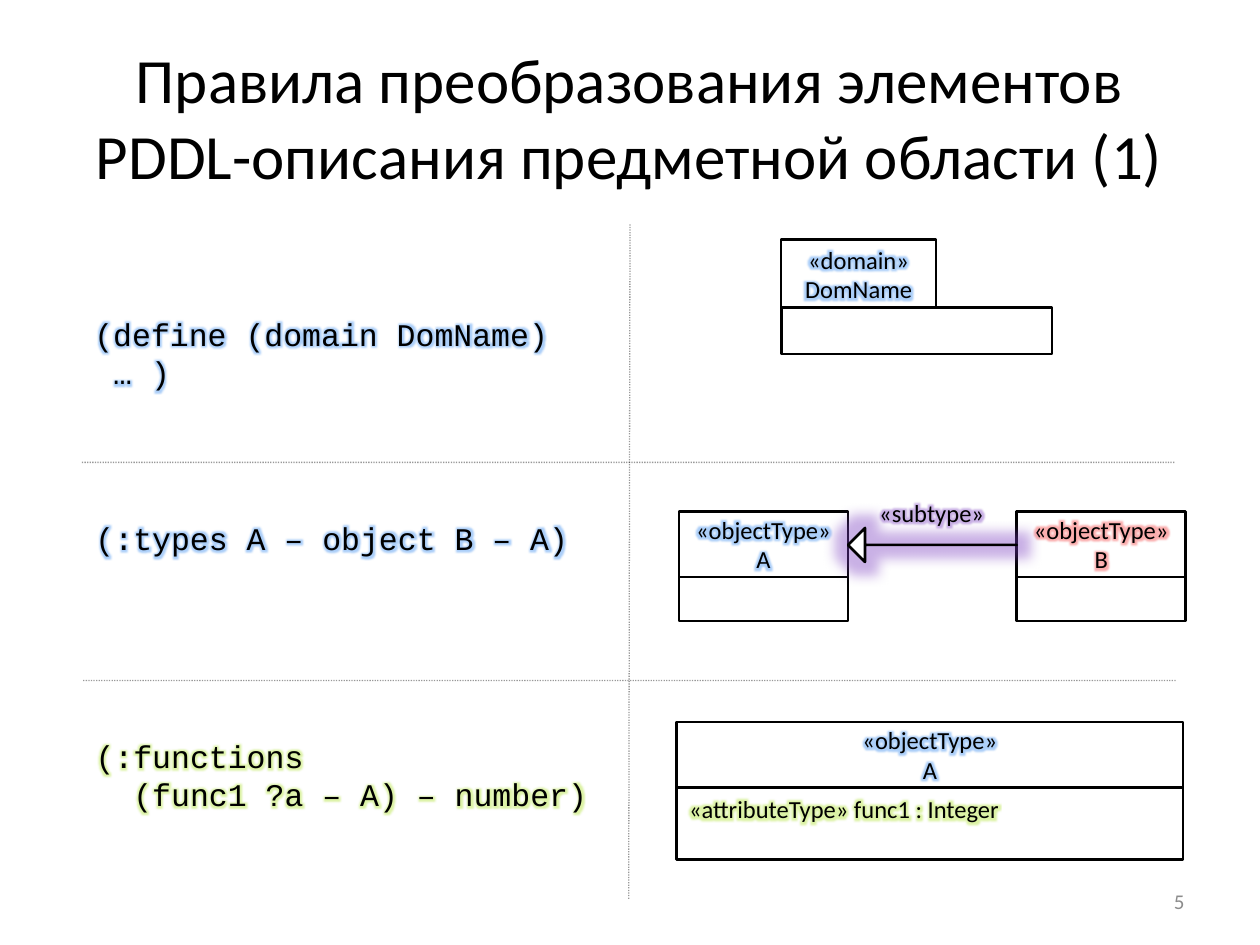
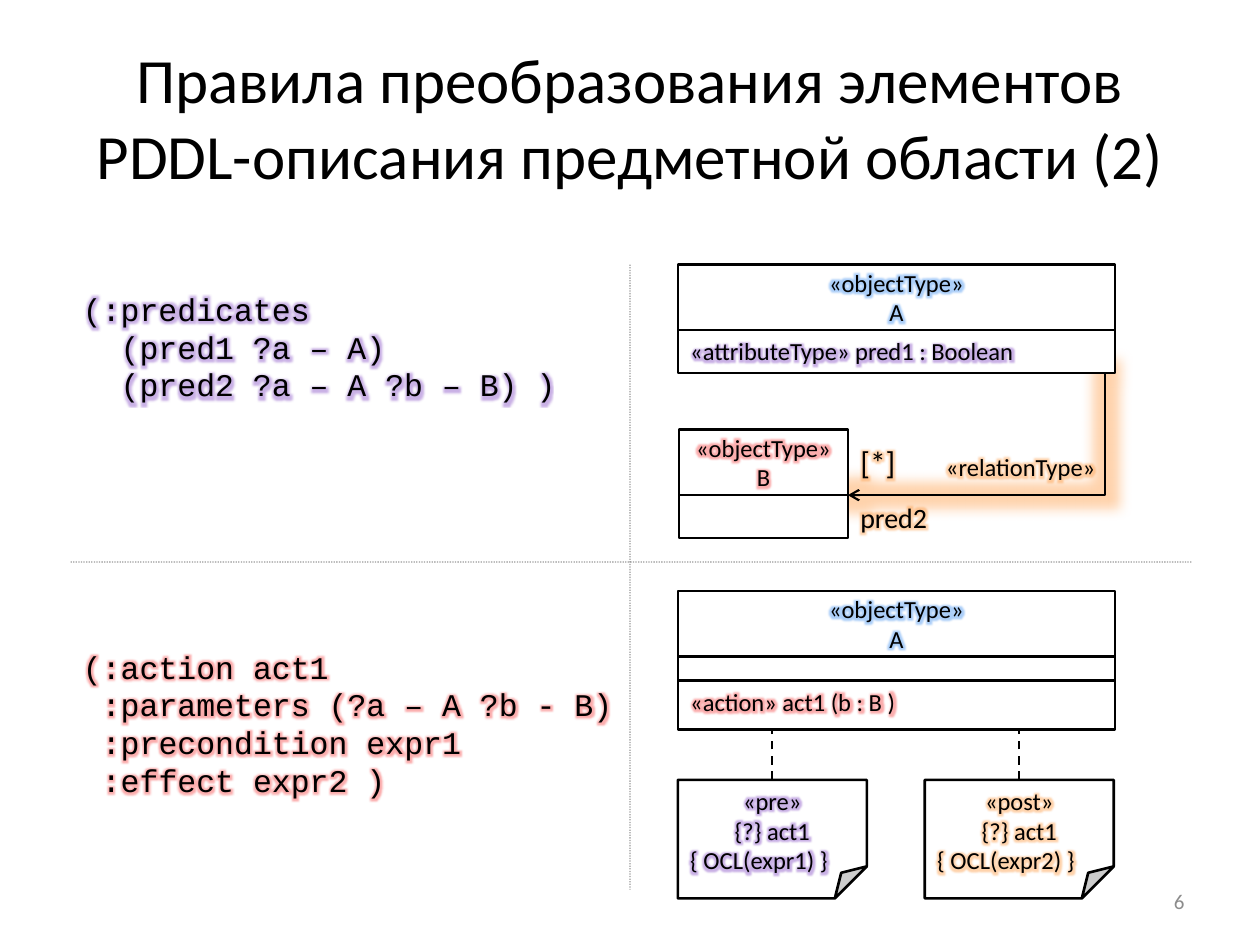
from dataclasses import dataclass

from lxml import etree
from pptx import Presentation
from pptx.dml.color import RGBColor
from pptx.enum.dml import MSO_LINE
from pptx.enum.shapes import MSO_CONNECTOR, MSO_SHAPE
from pptx.enum.text import MSO_ANCHOR, PP_ALIGN
from pptx.oxml.ns import qn
from pptx.util import Inches, Pt

LEFT, CENTER, RIGHT = PP_ALIGN.LEFT, PP_ALIGN.CENTER, PP_ALIGN.RIGHT
TOP, MIDDLE = MSO_ANCHOR.TOP, MSO_ANCHOR.MIDDLE
STRAIGHT, ELBOW = MSO_CONNECTOR.STRAIGHT, MSO_CONNECTOR.ELBOW
RECT, NOTE, ARROW = MSO_SHAPE.RECTANGLE, MSO_SHAPE.FOLDED_CORNER, MSO_SHAPE.RIGHT_ARROW
DOTTED, DASHED = MSO_LINE.ROUND_DOT, MSO_LINE.DASH


@dataclass(frozen=True)
class Theme:
    ink: RGBColor = RGBColor(0, 0, 0)
    paper: RGBColor = RGBColor(255, 255, 255)
    muted: RGBColor = RGBColor(0x8C, 0x8C, 0x8C)
    blue: str = "2E86F0"
    red: str = "F53232"
    green: str = "A8E01E"
    purple: str = "7A3CC0"
    orange: str = "FF9130"
    sans: str = "Calibri"
    mono: str = "Courier New"
    title: int = 36
    code: int = 18
    role: int = 16
    label: int = 14
    number: int = 12
    border: float = 1.5
    link: float = 1.25
    divider: float = 0.75
    text_glow: int = 8
    link_glow: int = 14


theme = Theme()

deck = Presentation()
deck.slide_width, deck.slide_height = Inches(10), Inches(7.5)
blank = deck.slide_layouts[6]

# Grid of 100 columns by 75 rows
COL = deck.slide_width / 100
ROW = deck.slide_height / 75


def set_effect(properties, glow=None, radius=theme.text_glow):
    """Replace inherited effects with a glow, or with nothing."""
    effects = etree.SubElement(properties, qn("a:effectLst"))
    if glow:
        halo = etree.SubElement(effects, qn("a:glow"), rad=str(Pt(radius)))
        color = etree.SubElement(halo, qn("a:srgbClr"), val=glow)
        etree.SubElement(color, qn("a:alpha"), val="40000")


def write(box, lines, size, font=theme.sans, color=theme.ink, aligns=(LEFT,),
          anchor=TOP, glow=None, wrap=True):
    """Fill a box with paragraphs; the last alignment serves the remaining lines."""
    frame = box.text_frame
    frame.word_wrap = wrap
    frame.vertical_anchor = anchor
    for index, line in enumerate(lines):
        para = frame.add_paragraph() if index else frame.paragraphs[0]
        para.alignment = aligns[min(index, len(aligns) - 1)]
        para.font.size, para.font.name = Pt(size), font
        para.font.color.rgb = color
        span = para.add_run()
        span.text = line
        if glow:
            set_effect(span._r.get_or_add_rPr(), glow)


# Pages with titles and numbers
pages = []
for part, (title_left, title_width) in enumerate([(3.5, 92.9), (5, 90)], start=1):
    page = deck.slides.add_slide(blank)
    pages.append(page)
    box = page.shapes.add_textbox(
        int(title_left * COL), int(3 * ROW), int(title_width * COL), int(12.5 * ROW))
    write(box, [f"Правила преобразования элементов PDDL-описания предметной области ({part})"],
          theme.title, aligns=(CENTER,), anchor=MIDDLE)
    box = page.shapes.add_textbox(
        int(71.7 * COL), int(69.5 * ROW), int(23.3 * COL), int(4 * ROW))
    write(box, [str(part + 4)], theme.number, color=theme.muted,
          aligns=(RIGHT,), anchor=MIDDLE)
first, second = pages

# Dotted dividers and dashed note links
for page, x1, y1, x2, y2, dash, width in [
    (first, 50, 17.8, 49.9, 71.4, DOTTED, theme.divider),
    (first, 6.5, 36.7, 93.3, 36.7, DOTTED, theme.divider),
    (first, 6.6, 54, 93.4, 54, DOTTED, theme.divider),
    (second, 50, 21, 50, 70.6, DOTTED, theme.divider),
    (second, 5.6, 44.6, 94.6, 44.6, DOTTED, theme.divider),
    (second, 61.3, 61.9, 61.3, 58, DASHED, theme.link),
    (second, 80.9, 61.9, 80.9, 58, DASHED, theme.link),
]:
    rule = page.shapes.add_connector(
        STRAIGHT, int(x1 * COL), int(y1 * ROW), int(x2 * COL), int(y2 * ROW))
    rule.line.color.rgb = theme.ink
    rule.line.width, rule.line.dash_style = Pt(width), dash
    if dash == DOTTED:
        color = rule._element.spPr.find(".//" + qn("a:srgbClr"))
        etree.SubElement(color, qn("a:alpha"), val="40000")
    set_effect(rule._element.spPr)

# Relation from A to B
relation = second.shapes.add_connector(
    ELBOW, int(87.9 * COL), int(29.6 * ROW), int(67.3 * COL), int(39.3 * ROW))
relation.line.color.rgb = theme.ink
relation.line.width = Pt(theme.link)
properties = relation._element.spPr
etree.SubElement(properties.find(qn("a:ln")), qn("a:tailEnd"), type="arrow")
geometry = properties.find(qn("a:prstGeom"))
guides = geometry.find(qn("a:avLst"))
if guides is None:
    guides = etree.SubElement(geometry, qn("a:avLst"))
etree.SubElement(guides, qn("a:gd"), name="adj1", fmla="val 900")
set_effect(properties, theme.orange, theme.link_glow)

# Class boxes: a centred head above compartments given as (height, text, glow)
empty = None
object_a = ["«objectType»", "A"]
object_b = ["«objectType»", "B"]
for page, left, top, width, head, head_glow, compartments in [
    (first, 53.9, 40.6, 13.4, object_a, theme.blue, [(3.5, empty, None)]),
    (first, 80.7, 40.6, 13.4, object_b, theme.red, [(3.5, empty, None)]),
    (first, 53.7, 57.3, 40.2, object_a, theme.blue,
     [(5.7, "«attributeType» func1 : Integer", theme.green)]),
    (second, 53.9, 34.1, 13.4, object_b, theme.red, [(3.4, empty, None)]),
    (second, 53.8, 21, 34.7, object_a, theme.blue,
     [(3.4, "«attributeType» pred1 : Boolean", theme.purple)]),
    (second, 53.8, 46.9, 34.7, object_a, theme.blue,
     [(1.9, empty, None), (3.9, "«action» act1 (b : B )", theme.red)]),
]:
    row = top
    cells = [(5.2, head, head_glow, CENTER, MIDDLE)]
    cells += [(height, [text] if text else [], glow, LEFT, TOP)
              for height, text, glow in compartments]
    for height, lines, glow, align, anchor in cells:
        cell = page.shapes.add_shape(
            RECT, int(left * COL), int(row * ROW), int(width * COL), int(height * ROW))
        cell.fill.solid()
        cell.fill.fore_color.rgb = theme.paper
        cell.line.color.rgb, cell.line.width = theme.ink, Pt(theme.border)
        set_effect(cell._element.spPr)
        write(cell, lines, theme.label, aligns=(align,), anchor=anchor, glow=glow)
        row += height

# Package, condition notes and subtype arrow
shape_guides = {RECT: {}, NOTE: {"adj": 27000}, ARROW: {"adj1": 0, "adj2": 50000}}
for page, kind, left, top, width, height, lines, aligns, anchor, glow in [
    (first, RECT, 62, 19, 12.3, 5.5, ["«domain»", "DomName"], (CENTER,), MIDDLE, theme.blue),
    (first, RECT, 62, 24.4, 21.5, 3.7, [], (LEFT,), TOP, None),
    (first, ARROW, 67.3, 41.9, 13.4, 2.7, [], (LEFT,), TOP, theme.purple),
    (second, NOTE, 53.8, 61.9, 15, 9.4, ["«pre»", "{?} act1", "{ OCL(expr1) }"],
     (CENTER, CENTER, LEFT), TOP, theme.purple),
    (second, NOTE, 73.4, 61.9, 15, 9.4, ["«post»", "{?} act1", "{ OCL(expr2) }"],
     (CENTER, CENTER, LEFT), TOP, theme.orange),
]:
    figure = page.shapes.add_shape(
        kind, int(left * COL), int(top * ROW), int(width * COL), int(height * ROW))
    figure.fill.solid()
    figure.fill.fore_color.rgb = theme.paper
    figure.line.color.rgb, figure.line.width = theme.ink, Pt(theme.border)
    properties = figure._element.spPr
    guides = properties.find(".//" + qn("a:avLst"))
    for guide in list(guides):
        guides.remove(guide)
    for name, value in shape_guides[kind].items():
        etree.SubElement(guides, qn("a:gd"), name=name, fmla=f"val {value}")
    if kind == ARROW:
        figure.rotation = 180
        set_effect(properties, glow, theme.link_glow)
    else:
        set_effect(properties)
    write(figure, lines, theme.label, aligns=aligns, anchor=anchor, glow=glow)

# PDDL code and link labels
for page, left, top, width, height, lines, size, font, glow in [
    (first, 6.5, 24.5, 38.2, 7.1, ["(define (domain DomName)", " … )"],
     theme.code, theme.mono, theme.blue),
    (first, 6.6, 40.7, 39.7, 4, ["(:types A – object B – A)"],
     theme.code, theme.mono, theme.blue),
    (first, 6.6, 58, 41.2, 7.1, ["(:functions", "  (func1 ?a – A) – number)"],
     theme.code, theme.mono, theme.green),
    (first, 68.8, 39, 10.4, 3.4, ["«subtype»"], theme.label, theme.sans, theme.purple),
    (second, 5.6, 22.5, 39.7, 10.1,
     ["(:predicates", "  (pred1 ?a – A)", "  (pred2 ?a – A ?b – B) )"],
     theme.code, theme.mono, theme.purple),
    (second, 5.6, 50.9, 44.2, 13.1,
     ["(:action act1", " :parameters (?a – A ?b - B)", " :precondition expr1",
      " :effect expr2 )"], theme.code, theme.mono, theme.red),
    (second, 67.3, 34.7, 4.8, 4, ["[*]"], theme.code, theme.sans, theme.orange),
    (second, 74.1, 35.4, 14, 3.4, ["«relationType»"], theme.label, theme.sans, theme.orange),
    (second, 67.3, 39.2, 7.4, 3.7, ["pred2"], theme.role, theme.sans, theme.orange),
]:
    box = page.shapes.add_textbox(
        int(left * COL), int(top * ROW), int(width * COL), int(height * ROW))
    write(box, lines, size, font, glow=glow, wrap=False)

deck.save("out.pptx")
